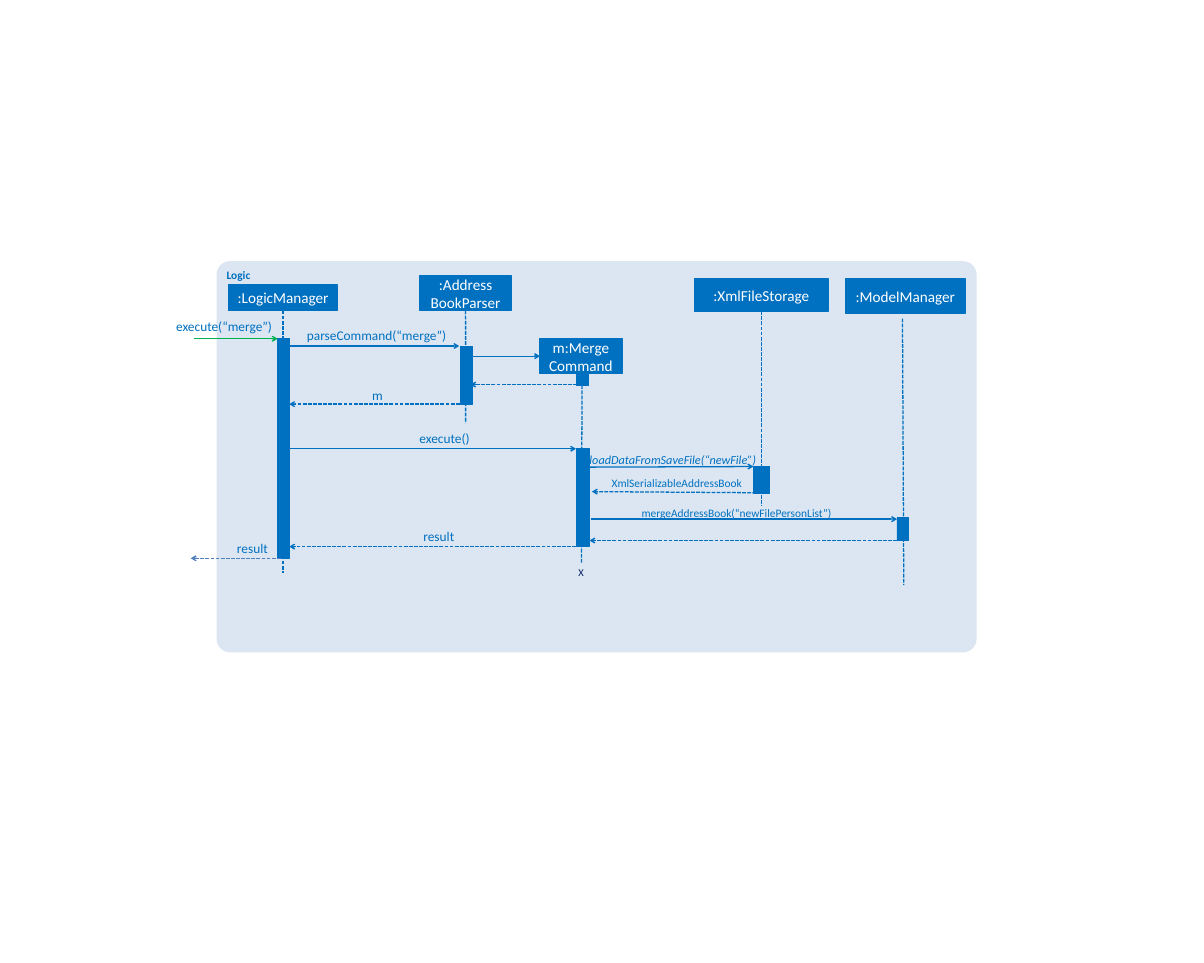
from dataclasses import dataclass

from lxml import etree
from pptx import Presentation
from pptx import util as u
from pptx.dml.color import RGBColor
from pptx.enum import dml, shapes, text
from pptx.oxml.ns import qn


@dataclass(frozen=True)
class Theme:
    font: str = "Calibri"
    blue: str = "0070C0"
    panel: str = "DCE6F2"
    call_in: str = "00B050"
    call_out: str = "4F81BD"
    navy: str = "002060"
    white: str = "FFFFFF"
    header_size: float = 17.9
    label_size: float = 15.7
    load_size: float = 14.4
    small_size: float = 13.4
    end_size: float = 12.3
    line: float = 1.5
    thin: float = 0.75


T = Theme()
LEFT, CENTER, RIGHT = (text.PP_ALIGN.LEFT, text.PP_ALIGN.CENTER,
                       text.PP_ALIGN.RIGHT)
RECT = shapes.MSO_SHAPE.RECTANGLE


def rgb(value):
    return RGBColor.from_string(value)


def write(sp, words, size, color, align=LEFT, bold=False, italic=False):
    tf = sp.text_frame
    tf.word_wrap = True
    tf.text = words
    for p in tf.paragraphs:
        p.alignment = align
        p.font.name, p.font.size = T.font, u.Pt(size)
        p.font.bold, p.font.italic = bold, italic
        p.font.color.rgb = rgb(color)
    return tf


def block(s, kind, x, y, w, h, fill, line=None):
    sp = s.shapes.add_shape(kind, u.Pt(x), u.Pt(y), u.Pt(w), u.Pt(h))
    sp.shadow.inherit = False
    sp.fill.solid()
    sp.fill.fore_color.rgb = rgb(fill)
    if line:
        sp.line.color.rgb = rgb(fill)
        sp.line.width = u.Pt(line)
    else:
        sp.line.fill.background()
    return sp


def connect(s, x1, y1, x2, y2, color=T.blue, dashed=False, arrow=False):
    cn = s.shapes.add_connector(shapes.MSO_CONNECTOR.STRAIGHT,
                                u.Pt(x1), u.Pt(y1), u.Pt(x2), u.Pt(y2))
    cn.line.color.rgb = rgb(color)
    cn.line.width = u.Pt(T.line)
    if dashed:
        cn.line.dash_style = dml.MSO_LINE.SQUARE_DOT
    if arrow:
        etree.SubElement(cn.line._get_or_add_ln(), qn("a:tailEnd"), type="arrow")
    etree.SubElement(cn._element.spPr, qn("a:effectLst"))
    return cn


def panel(s, box):
    x, y, w, h = box
    sp = block(s, shapes.MSO_SHAPE.ROUNDED_RECTANGLE, x, y, w, h, T.panel)
    sp.adjustments[0] = 0.035
    tf = write(sp, "Logic", T.small_size, T.blue, bold=True)
    tf.vertical_anchor = text.MSO_ANCHOR.TOP


def lifeline(s, box, name, header, line, bars, joined=True):
    """Dashed line, activation bars and the participant's header over them."""
    left, top = box[:2]
    x1, y1, x2, y2 = line
    cn = connect(s, left + x1, top + y1, left + x2, top + y2, dashed=True)
    for x, y, w, h in bars:
        block(s, RECT, left + x, top + y, w, h, T.blue, T.thin)
    x, y, w, h = header
    sp = block(s, RECT, left + x, top + y, w, h, T.blue, T.line)
    tf = write(sp, name, T.header_size, T.white, CENTER)
    tf.vertical_anchor = text.MSO_ANCHOR.MIDDLE
    if joined:
        cn.begin_connect(sp, 2)
    return sp


def participants(s, box):
    lifeline(s, box, ":LogicManager", (14.3, 28, 128.2, 30.2),
             (78.4, 58.2, 78.4, 367), [(71.9, 91.4, 13.7, 258.5)])
    lifeline(s, box, ":Address\nBookParser", (239.6, 17.2, 107.3, 41),
             (293.3, 58.2, 293.3, 190.7), [(287.2, 100.7, 13.7, 67.7)])
    lifeline(s, box, ":XmlFileStorage", (562.9, 20.8, 157, 38.2),
             (641.4, 59, 641.4, 288.7), [(632, 241.9, 19.4, 31)])
    lifeline(s, box, ":ModelManager", (740.8, 20.8, 140.4, 41),
             (807.7, 67.6, 809.2, 381.5), [(801.2, 301.6, 13.7, 27.4)],
             joined=False)
    return lifeline(s, box, "m:Merge\vCommand", (380.8, 91.4, 96.5, 41),
                    (430.4, 122.3, 429.7, 355.6),
                    [(424, 122.3, 13.7, 24.5), (424, 221, 14.4, 115.2)],
                    joined=False)


def messages(s, box, merge_command):
    left, top = box[:2]
    # Calls: solid, from caller to callee; returns: dashed, back to the caller
    calls = [(-26.8, 91.4, 71.9, 91.4, T.call_in),
             (87, 100, 285.7, 100, T.blue),
             (85.6, 221, 423.2, 221, T.blue),
             (437.6, 242.6, 632, 241.9, T.blue),
             (440.5, 303.8, 801.2, 303.8, T.blue)]
    returns = [(430.4, 145.4, 298.7, 145.4, T.blue),
               (292.2, 168.4, 85.6, 168.4, T.blue),
               (641.4, 272.8, 442, 271.4, T.blue),
               (801.2, 329, 439.1, 329, T.blue),
               (423.2, 336.2, 85.6, 336.2, T.blue),
               (75.5, 349.9, -30.4, 349.9, T.call_out)]
    for dashed, group in ((False, calls), (True, returns)):
        for x1, y1, x2, y2, color in group:
            connect(s, left + x1, top + y1, left + x2, top + y2,
                    color, dashed, arrow=True)
    # Creation of the command object
    create = connect(s, left + 300.8, top + 111.9, left + 380.8, top + 111.9,
                     arrow=True)
    create.end_connect(merge_command, 1)


def label(s, box, words, x, y, w, size=T.label_size, align=RIGHT,
          color=T.blue, italic=False):
    sp = s.shapes.add_textbox(u.Pt(box[0] + x), u.Pt(box[1] + y),
                              u.Pt(w), u.Pt(size * 1.2))
    tf = write(sp, words, size, color, align, italic=italic)
    tf.margin_left = tf.margin_right = tf.margin_top = tf.margin_bottom = 0


def labels(s, box):
    label(s, box, "execute(“merge”)", -60.6, 67.6, 126)
    label(s, box, "parseCommand(“merge”)", 102.8, 77.7, 167.8)
    label(s, box, "m", 176.3, 148.3, 19.4)
    label(s, box, "execute()", 222.4, 199.4, 75.6)
    label(s, box, "loadDataFromSaveFile(“newFile”)", 439.1, 225.3, 200,
          T.load_size, LEFT, italic=True)
    label(s, box, "XmlSerializableAddressBook", 462.8, 253.4, 158.4,
          T.small_size, CENTER)
    label(s, box, "mergeAddressBook(“newFilePersonList”)", 470, 288.7, 254.2,
          T.small_size)
    label(s, box, "result", 225.2, 314.6, 54.7)
    label(s, box, "result", -6.6, 328.3, 67)
    label(s, box, "X", 426.1, 359.2, 10, T.end_size, LEFT, T.navy)


def sequence_diagram(s, box):
    panel(s, box)
    merge_command = participants(s, box)
    messages(s, box, merge_command)
    labels(s, box)


def main():
    prs = Presentation()
    prs.slide_width, prs.slide_height = u.Pt(1417.68), u.Pt(1134)
    s = prs.slides.add_slide(prs.slide_layouts[6])
    sequence_diagram(s, (255, 307.5, 895, 460.8))
    prs.save("out.pptx")


if __name__ == "__main__":
    main()
